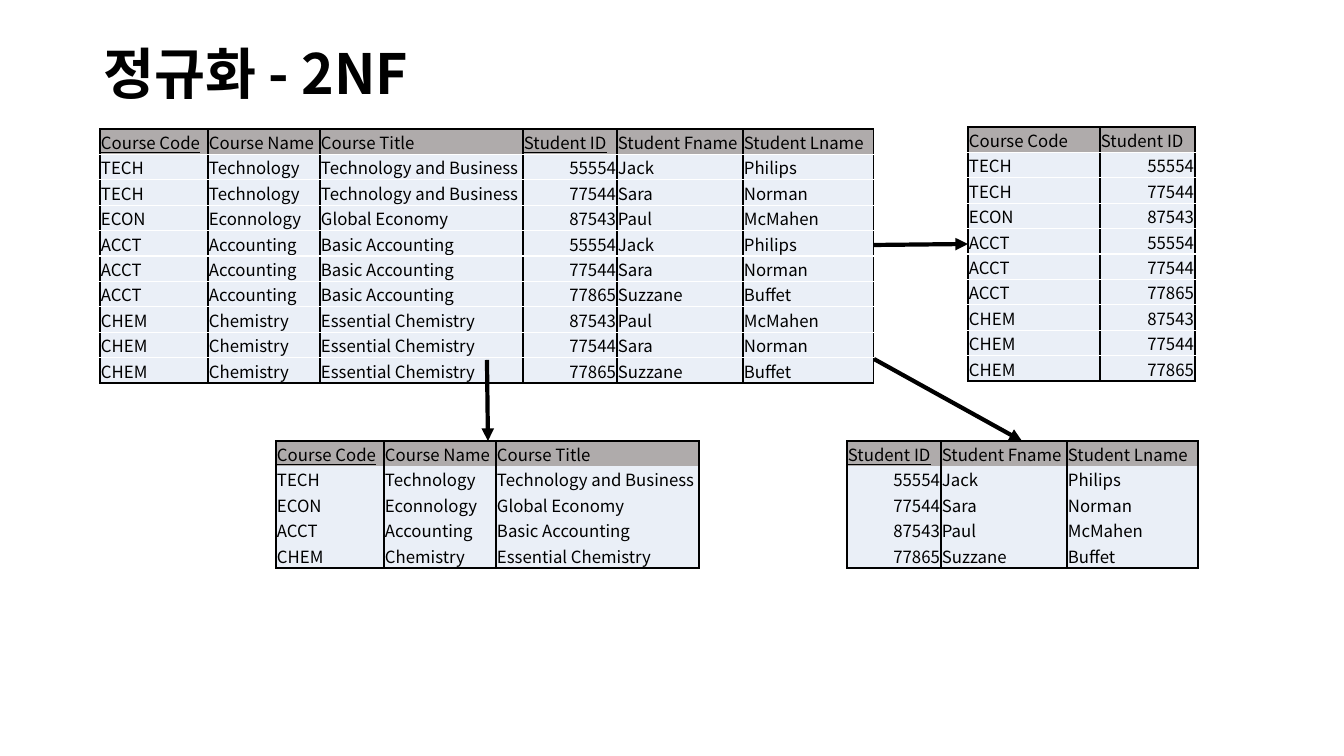
from lxml import etree
from pptx import Presentation
from pptx.dml.color import RGBColor
from pptx.enum.shapes import MSO_CONNECTOR
from pptx.enum.text import MSO_ANCHOR, PP_ALIGN
from pptx.oxml.ns import qn
from pptx.util import Pt

STRAIGHT = MSO_CONNECTOR.STRAIGHT
MIDDLE = MSO_ANCHOR.MIDDLE
LEFT, RIGHT = PP_ALIGN.LEFT, PP_ALIGN.RIGHT

# Content
TITLE = "정규화 - 2NF"
COURSES = {
    "TECH": ("Technology", "Technology and Business"),
    "ECON": ("Econnology", "Global Economy"),
    "ACCT": ("Accounting", "Basic Accounting"),
    "CHEM": ("Chemistry", "Essential Chemistry"),
}
STUDENTS = {
    "55554": ("Jack", "Philips"),
    "77544": ("Sara", "Norman"),
    "87543": ("Paul", "McMahen"),
    "77865": ("Suzzane", "Buffet"),
}
ENROLLMENTS = [
    ("TECH", "55554"), ("TECH", "77544"), ("ECON", "87543"),
    ("ACCT", "55554"), ("ACCT", "77544"), ("ACCT", "77865"),
    ("CHEM", "87543"), ("CHEM", "77544"), ("CHEM", "77865"),
]
COURSE_HEADS = ["Course Code", "Course Name", "Course Title"]
STUDENT_HEADS = ["Student ID", "Student Fname", "Student Lname"]
course_rows = [(code, *names) for code, names in COURSES.items()]
student_rows = [(number, *names) for number, names in STUDENTS.items()]
joined_rows = [(code, *COURSES[code], number, *STUDENTS[number])
               for code, number in ENROLLMENTS]

# Layout in px
COURSE_WIDTHS = [108, 112, 203]
STUDENT_WIDTHS = [94, 126, 131]
ROW_HEIGHT = 25
KEYS = ("Course Code", "Student ID")
# left, top, widths, heads, rows, underlined heads, rules between rows
RELATIONS = [
    (100, 129, COURSE_WIDTHS + STUDENT_WIDTHS, COURSE_HEADS + STUDENT_HEADS,
     joined_rows, KEYS, True),
    (276, 441, COURSE_WIDTHS, COURSE_HEADS, course_rows, KEYS, False),
    (968, 127, [132, 95], list(KEYS), ENROLLMENTS, (), True),
    (847, 441, STUDENT_WIDTHS, STUDENT_HEADS, student_rows, KEYS, False),
]
ARROWS = [(487, 360, 488, 441), (874, 359, 1022, 441), (874, 245, 968, 244)]

COLORS = {"ink": "000000", "head": "AFABAB", "body": "EAEFF7", "rule": "FFFFFF"}
FONT = "Noto Sans CJK KR"
PLAIN_TABLE = "{2D5ABB26-0587-4C30-8999-92F81FD0307C}"


def px(length):
    return round(length * 914400 / 100.8)


def color(name):
    return RGBColor.from_string(COLORS[name])


def write(frame, text, size=12, bold=False, underline=False, align=LEFT, spacing=1.0):
    paragraph = frame.paragraphs[0]
    paragraph.alignment = align
    paragraph.line_spacing = spacing
    run = paragraph.add_run()
    run.text = text
    font = run.font
    font.size, font.bold, font.underline = Pt(size), bold, underline
    font.name = FONT
    font.color.rgb = color("ink")
    east_asian = etree.SubElement(font._element, qn("a:ea"))
    east_asian.set("typeface", FONT)


def set_borders(cell, edges):
    properties = cell._tc.get_or_add_tcPr()
    for position, (side, name) in enumerate(edges.items()):
        line = etree.Element(qn(f"a:ln{side}"), w=str(Pt(1)))
        if name:
            fill = etree.SubElement(line, qn("a:solidFill"))
            etree.SubElement(fill, qn("a:srgbClr"), val=COLORS[name])
        else:
            etree.SubElement(line, qn("a:noFill"))
        properties.insert(position, line)


def add_relation(slide, left, top, widths, heads, rows, keys, ruled):
    lines = [heads, *rows]
    table = slide.shapes.add_table(
        len(lines), len(heads), px(left), px(top),
        px(sum(widths)), px(ROW_HEIGHT * len(lines))).table
    table._tbl.tblPr.find(qn("a:tableStyleId")).text = PLAIN_TABLE
    table.first_row = table.horz_banding = False
    for column, width in zip(table.columns, widths):
        column.width = px(width)

    inner = "rule" if ruled else None
    for r, line in enumerate(lines):
        table.rows[r].height = px(ROW_HEIGHT)
        for c, text in enumerate(line):
            cell = table.cell(r, c)
            cell.margin_left = cell.margin_right = cell.margin_top = px(1)
            cell.margin_bottom = 0
            cell.vertical_anchor = MIDDLE
            cell.fill.solid()
            cell.fill.fore_color.rgb = color("body" if r else "head")
            write(cell.text_frame, text, underline=text in keys,
                  align=RIGHT if text.isdigit() else LEFT)
            set_borders(cell, {
                "L": "ink", "R": "ink",
                "T": inner if r else "ink",
                "B": inner if r < len(rows) else "ink"})


def add_arrow(slide, *ends):
    arrow = slide.shapes.add_connector(STRAIGHT, *map(px, ends))
    arrow.line.width = Pt(3)
    arrow.line.color.rgb = color("ink")
    etree.SubElement(arrow.line._get_or_add_ln(), qn("a:tailEnd"), type="triangle")
    etree.SubElement(arrow._element.spPr, qn("a:effectLst"))


def main():
    deck = Presentation()
    deck.slide_width, deck.slide_height = px(1344), px(756)
    slide = deck.slides.add_slide(deck.slide_layouts[5])

    # Title
    title = slide.shapes.title
    title.left, title.top, title.width, title.height = map(px, (93, 40, 1159, 74))
    title.text_frame.vertical_anchor = MIDDLE
    write(title.text_frame, TITLE, size=39.6, bold=True, spacing=0.9)

    # Joined table and the three tables it splits into
    for relation in RELATIONS:
        add_relation(slide, *relation)

    # Arrows from the joined table
    for ends in ARROWS:
        add_arrow(slide, *ends)

    deck.save("out.pptx")


if __name__ == "__main__":
    main()
